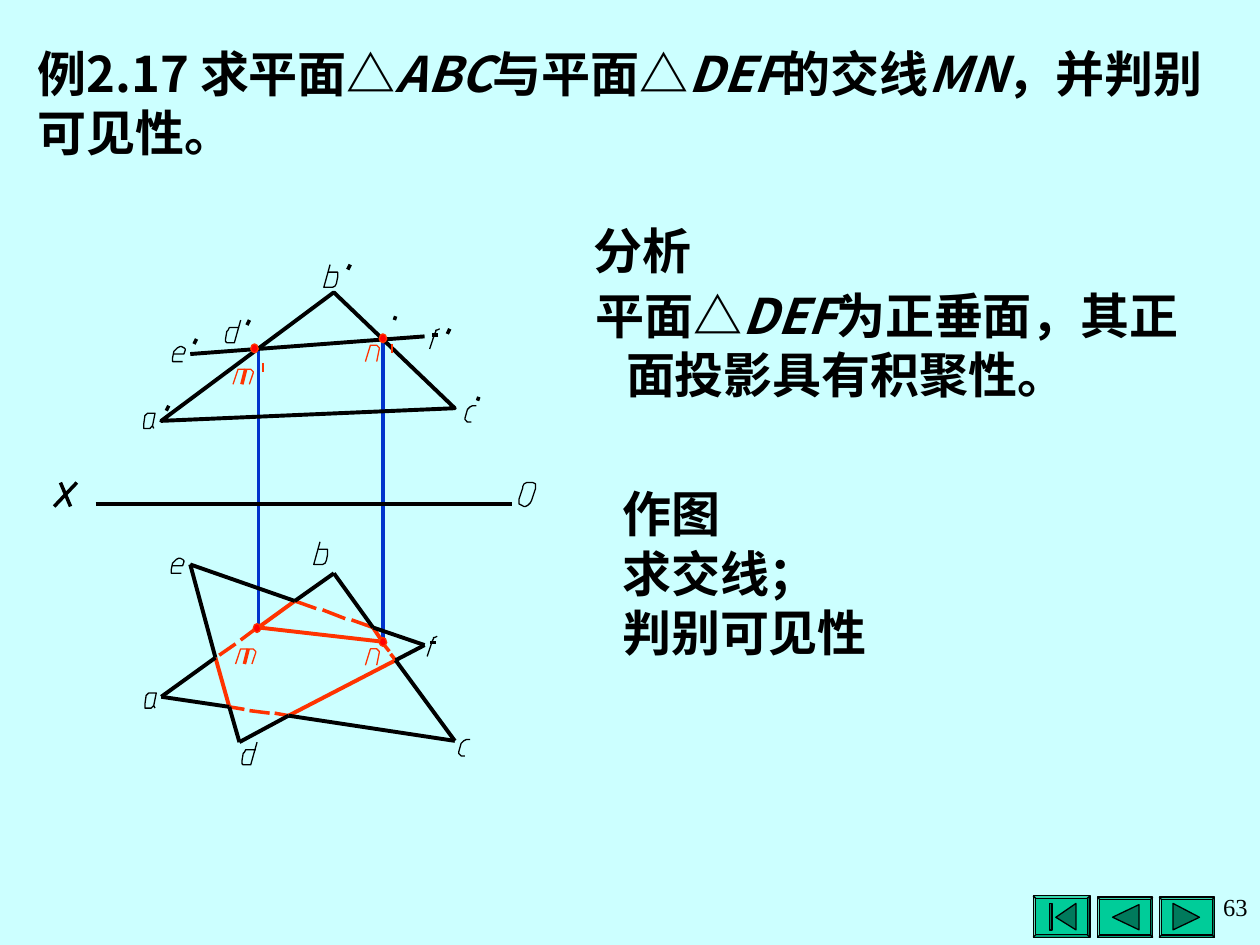
from dataclasses import dataclass

from lxml import etree
from pptx import Presentation
from pptx.dml.color import RGBColor
from pptx.enum.shapes import MSO_CONNECTOR, MSO_SHAPE
from pptx.enum.text import MSO_ANCHOR, PP_ALIGN
from pptx.oxml.ns import qn
from pptx.util import Pt

STRAIGHT, BEVEL = MSO_CONNECTOR.STRAIGHT, MSO_SHAPE.BEVEL
TOP, MIDDLE = MSO_ANCHOR.TOP, MSO_ANCHOR.MIDDLE
LEFT, RIGHT = PP_ALIGN.LEFT, PP_ALIGN.RIGHT
PX = 9144  # EMU, 100 px to the inch


@dataclass(frozen=True)
class Theme:
    background: str = "CCFFFF"
    ink: str = "000000"
    red: str = "FF3300"
    dot: str = "FF0000"
    blue: str = "0033CC"
    button: str = "00CC99"
    arrow: str = "007A5C"
    font: str = "Noto Sans CJK SC"
    number_font: str = "Times New Roman"
    body: int = 28
    number: int = 14
    leading: float = 33.75
    hairline: float = 0
    edge: float = 2.25
    mark: float = 1
    button_line: float = 0.75


T = Theme()

# Strokes of the drafting letters, from the top left of each letter
GLYPHS = {
    "a": [[(8, 12), (7, 10), (9, 0), (3, 0), (2, 1), (1, 2), (0, 9), (0, 12),
           (5, 12), (6, 11), (7, 10)]],
    "b": [[(5, 0), (0, 18), (7, 18), (9, 17), (10, 15), (11, 10), (11, 6), (4, 6)]],
    "c": [[(9, 0), (6, 0), (4, 1), (2, 3), (0, 10), (0, 11), (2, 13), (5, 13)]],
    "d": [[(12, 0), (7, 18), (1, 18), (0, 17), (0, 15), (1, 9), (2, 8), (3, 6),
           (11, 6)]],
    "e": [[(8, 12), (0, 12), (0, 9), (1, 4), (3, 2), (4, 1), (6, 0), (7, 0),
           (9, 1), (10, 2), (10, 3), (9, 6), (1, 6)]],
    "f": [[(0, 16), (4, 4), (5, 2), (5, 1), (6, 1), (8, 0)], [(7, 5), (2, 5)]],
    "m": [[(13, 12), (16, 3), (16, 2), (14, 0), (4, 0), (0, 12)], [(7, 12), (10, 0)]],
    "n": [[(0, 13), (4, 0), (9, 0), (11, 2), (11, 3), (9, 13)]],
    "O": [[(4, 19), (5, 19), (7, 18), (9, 16), (10, 14), (13, 5), (13, 1), (11, 0),
           (6, 0), (4, 1), (3, 3), (3, 4), (0, 13), (0, 17), (2, 18), (4, 19)]],
    "X": [[(5, 0), (13, 19)], [(18, 0), (0, 19)]],
    "'": [[(0, 4), (2, 0)]],
    ",": [[(1, 0), (0, 3)]],
    "|": [[(0, 0), (0, 7)]],
}
DOT = [(6, 4), (5, 1), (3, 0), (1, 1), (0, 4), (1, 6), (3, 7), (5, 6)]


def rgb(value):
    return RGBColor.from_string(value)


def shift(points, x, y):
    return [(x + px, y + py) for px, py in points]


def add_line(s, start, end, color=T.ink, width=T.hairline):
    sp = s.shapes.add_connector(STRAIGHT, *(v * PX for v in (*start, *end)))
    sp.line.color.rgb = rgb(color)
    sp.line.width = Pt(width)
    etree.SubElement(sp._element.spPr, qn("a:effectLst"))


def paint(sp, fill, color, width):
    sp.shadow.inherit = False
    if fill:
        sp.fill.solid()
        sp.fill.fore_color.rgb = rgb(fill)
    else:
        sp.fill.background()
    sp.line.color.rgb = rgb(color)
    sp.line.width = Pt(width)


def add_outline(s, points, color=T.ink, width=T.hairline, fill=None, close=False):
    builder = s.shapes.build_freeform(*points[0], scale=PX)
    builder.add_line_segments(points[1:], close=close)
    paint(builder.convert_to_shape(), fill, color, width)


def add_glyph(s, name, x, y, color=T.ink, width=T.hairline):
    for stroke in GLYPHS[name]:
        points = shift(stroke, x, y)
        if len(points) == 2:
            add_line(s, *points, color, width)
        else:
            add_outline(s, points, color, width)


def add_dot(s, x, y):
    add_outline(s, shift(DOT, x, y), T.red, fill=T.dot, close=True)


def add_text(s, box, paragraphs, font=T.font, size=T.body, bold=True, anchor=TOP,
             align=LEFT, leading=T.leading, after=0, margin=0, indents=None):
    """Each paragraph is a list of runs; every second run is italic."""
    tf = s.shapes.add_textbox(*(v * PX for v in box)).text_frame
    tf.word_wrap = True
    tf.vertical_anchor = anchor
    for i, runs in enumerate(paragraphs):
        p = tf.paragraphs[0] if i == 0 else tf.add_paragraph()
        p.alignment = align
        p.space_after = Pt(after)
        if leading:
            p.line_spacing = Pt(leading)
        if indents:
            p_pr = p._p.get_or_add_pPr()
            p_pr.set("marL", str(margin * PX))
            p_pr.set("indent", str(indents[i] * PX))
        for j, text in enumerate(runs):
            r = p.add_run()
            r.text = text
            r.font.name, r.font.size = font, Pt(size)
            r.font.bold, r.font.italic = bold, j % 2 == 1
            r.font.color.rgb = rgb(T.ink)
            etree.SubElement(r._r.rPr, qn("a:ea"), typeface=font)


def draw_front_view(s, x, y):
    add_outline(s, shift([(28, 134), (165, 32), (261, 124)], x, y),
                width=T.edge, close=True)
    add_line(s, *shift([(51, 81), (237, 67)], x, y), width=T.edge)
    for name, gx, gy in [("a", 14, 128), ("b", 157, 10), ("c", 269, 122),
                         ("d", 79, 54), ("e", 37, 75), ("f", 241, 61),
                         ("'", 32, 122), ("'", 176, 10), (",", 279, 115),
                         ("'", 96, 54), ("'", 54, 69), ("'", 255, 61),
                         (",", 213, 51)]:
        add_glyph(s, name, x + gx, y + gy)
    for name, letter, mark, dot in [("n", (190, 74), (211, 73), (201, 65)),
                                    ("m", (85, 93), (109, 88), (99, 73))]:
        add_glyph(s, name, x + letter[0], y + letter[1], T.red)
        add_glyph(s, "|", x + mark[0], y + mark[1], T.red, T.mark)
        add_dot(s, x + dot[0], y + dot[1])


def draw_plan_view(s, x, y):
    a, b, c, d, e, f = shift([(28, 153), (165, 55), (261, 188), (90, 189),
                              (51, 48), (237, 112)], x, y)
    ab_de, ac_de, ac_df, bc_df, bc_ef, ab_ef = shift(
        [(71, 122), (82, 161), (129, 168), (214, 124), (196, 98), (134, 77)], x, y)
    m, n, n_top = shift([(105, 98), (201, 109), (202, 107)], x, y)
    hidden = [[(74, 120), (87, 111)], [(91, 108), (107, 96)],
              [(129, 168), (118, 166)], [(114, 166), (98, 164)],
              [(94, 163), (82, 161)], [(205, 112), (209, 117)],
              [(210, 119), (214, 124)], [(134, 77), (151, 83)],
              [(156, 84), (174, 91)], [(179, 92), (196, 98)]]
    for dash in hidden:
        add_line(s, *shift(dash, x, y), T.red)
    for start, end in [(ac_de, ab_de), (bc_df, ac_df), (m, n), (m, ab_ef),
                       (bc_ef, n_top)]:
        add_line(s, start, end, T.red, T.edge)
    for start, end in [(ac_df, d), (e, ab_ef), (d, ac_de), (ab_de, a), (a, ac_de),
                       (ab_de, e), (bc_df, c), (ac_df, c), (b, bc_ef), (b, ab_ef),
                       (f, bc_df), (bc_ef, f)]:
        add_line(s, start, end, width=T.edge)
    for name, gx, gy in [("a", 15, 150), ("b", 149, 30), ("c", 264, 187),
                         ("d", 92, 189), ("e", 36, 43), ("f", 239, 105)]:
        add_glyph(s, name, x + gx, y + gy)
    for name, letter, dot in [("n", (190, 115), (201, 106)),
                              ("m", (87, 115), (101, 95))]:
        add_glyph(s, name, x + letter[0], y + letter[1], T.red)
        add_dot(s, x + dot[0], y + dot[1])


def draw_axis(s, x, y):
    """Axis XO with the two projection lines that cross it."""
    for start, end in [((162, -113), (162, 108)), ((261, -120), (261, 116))]:
        add_line(s, *shift([start, end], x, y), T.blue)
    add_line(s, *shift([(33, 10), (363, 10)], x, y))
    add_glyph(s, "X", x, y - 7)
    add_glyph(s, "O", x + 369, y - 7)


def draw_button(s, x, y, width, height, symbols):
    sp = s.shapes.add_shape(BEVEL, *(v * PX for v in (x, y, width, height)))
    sp.adjustments[0] = 0.06
    paint(sp, T.button, T.ink, T.button_line)
    for points in symbols:
        add_outline(s, shift(points, x, y), width=T.button_line, fill=T.arrow,
                    close=True)


def draw_navigation(s, x, y):
    first = [[(18, 17), (34, 6), (34, 27)], [(13, 6), (15, 6), (15, 27), (13, 27)]]
    draw_button(s, x, y, 45, 33, first)
    draw_button(s, x + 51, y + 1, 44, 32, [[(12, 16), (33, 6), (33, 26)]])
    draw_button(s, x + 100, y + 1, 44, 32, [[(11, 5), (32, 16), (11, 26)]])
    add_text(s, (x - 72, y - 8, 252, 61), [["63"]], font=T.number_font,
             size=T.number, bold=False, align=RIGHT, leading=None)


def main():
    prs = Presentation()
    prs.slide_width, prs.slide_height = 1000 * PX, 750 * PX
    s = prs.slides.add_slide(prs.slide_layouts[6])
    s.background.fill.solid()
    s.background.fill.fore_color.rgb = rgb(T.background)
    draw_navigation(s, 820, 711)
    add_text(s, (20, 29, 980, 104),
             [["例2.17 求平面△", "ABC", "与平面△", "DEF", "的交线", "MN",
               "，并判别可见性。"]], anchor=MIDDLE)
    add_text(s, (437, 170, 535, 207),
             [["分析"], ["平面△", "DEF", "为正垂面，其正面投影具有积聚性。"]],
             after=3.5, margin=50, indents=(-26, -24))
    draw_axis(s, 43, 390)
    draw_plan_view(s, 100, 400)
    draw_front_view(s, 100, 200)
    add_text(s, (484, 379, 500, 150), [["作图"], ["求交线；"], ["判别可见性"]])
    prs.save("out.pptx")


if __name__ == "__main__":
    main()
